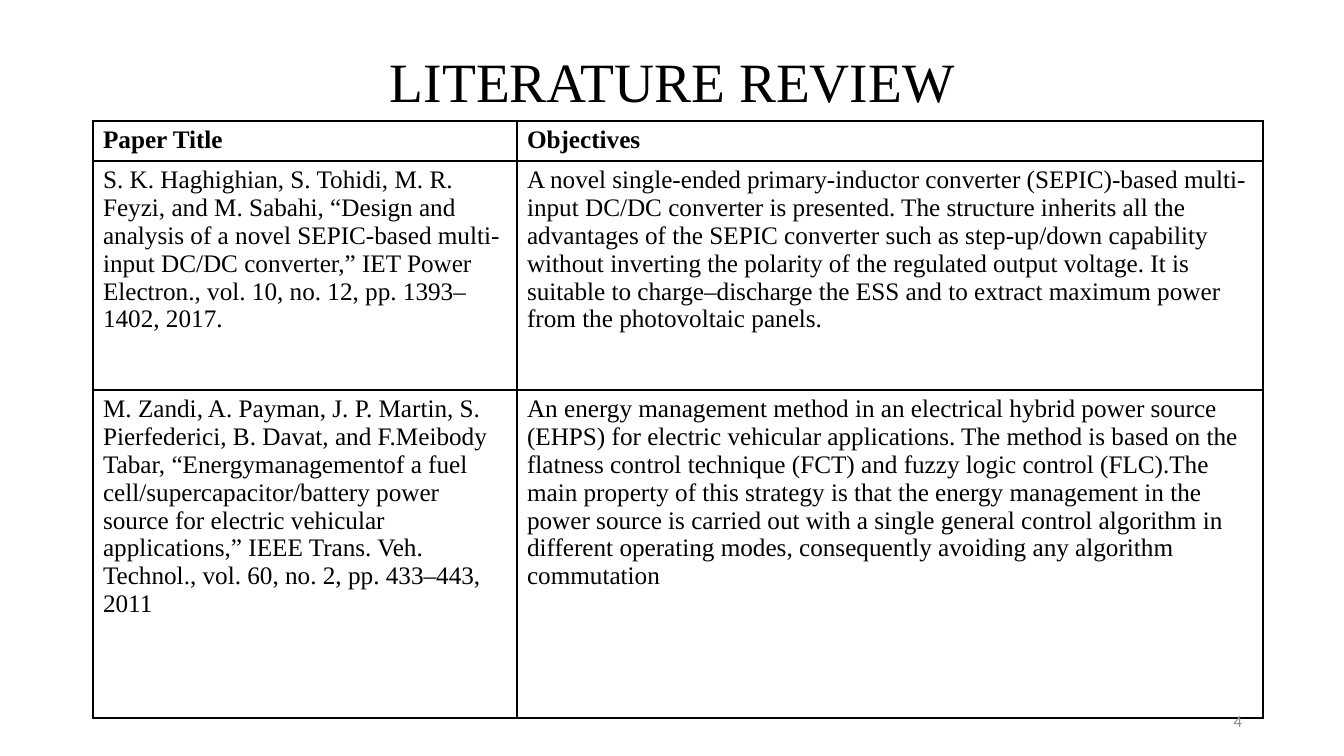
"""Build the literature review slide with its table of papers."""
from lxml import etree
from pptx import Presentation
from pptx.dml.color import RGBColor
from pptx.enum.text import MSO_ANCHOR, MSO_AUTO_SIZE, PP_ALIGN
from pptx.oxml.ns import qn
from pptx.util import Pt

PX = 914400 / 100.8
TOP, MIDDLE = MSO_ANCHOR.TOP, MSO_ANCHOR.MIDDLE
CENTER, RIGHT, LEFT = PP_ALIGN.CENTER, PP_ALIGN.RIGHT, PP_ALIGN.LEFT
NO_AUTOFIT = MSO_AUTO_SIZE.NONE
TITLE_ONLY = 5
SERIF, SANS = "Times New Roman", "Calibri"
COLORS = {"ink": "000000", "paper": "FFFFFF", "muted": "8C8C8C"}
BORDER_WIDTH = Pt(1)

COLUMN_WIDTHS = [424, 746]
ROW_HEIGHTS = [40, 229, 328]
REVIEW = [
    ["Paper Title", "Objectives"],
    [
        "S. K. Haghighian, S. Tohidi, M. R. Feyzi, and M. Sabahi, “Design and "
        "analysis of a novel SEPIC-based multi-input DC/DC converter,” IET Power "
        "Electron., vol. 10, no. 12, pp. 1393–1402, 2017.",
        "A novel single-ended primary-inductor converter (SEPIC)-based multi-input "
        "DC/DC converter is presented. The structure inherits all the advantages of "
        "the SEPIC converter such as step-up/down capability without inverting the "
        "polarity of the regulated output voltage. It is suitable to "
        "charge–discharge the ESS and to extract maximum power from the "
        "photovoltaic panels.",
    ],
    [
        "M. Zandi, A. Payman, J. P. Martin, S. Pierfederici, B. Davat, and F.Meibody "
        "Tabar, “Energymanagementof a fuel cell/supercapacitor/battery power source "
        "for electric vehicular applications,” IEEE Trans. Veh. Technol., vol. 60, "
        "no. 2, pp. 433–443, 2011",
        "An energy management method in an electrical hybrid power source (EHPS) for "
        "electric vehicular applications. The method is based on the flatness control "
        "technique (FCT) and fuzzy logic control (FLC).The main property of this "
        "strategy is that the energy management in the power source is carried out "
        "with a single general control algorithm in different operating modes, "
        "consequently avoiding any algorithm commutation",
    ],
]


def px(*lengths):
    return [round(length * PX) for length in lengths]


def write(text_frame, text, size, font_name, color, align, bold=False):
    text_frame.word_wrap = True
    paragraph = text_frame.paragraphs[0]
    paragraph.text = text
    paragraph.alignment = align
    font = paragraph.font
    font.size, font.name, font.bold = Pt(size), font_name, bold
    font.color.rgb = RGBColor.from_string(COLORS[color])
    return paragraph


def add_title(slide, text):
    title = slide.shapes.title
    title.left, title.top, title.width, title.height = px(93, 40, 1159, 146)
    text_frame = title.text_frame
    text_frame.auto_size = NO_AUTOFIT
    text_frame.vertical_anchor = TOP
    text_frame.margin_top = px(15)[0]
    write(text_frame, text, 39.6, SERIF, "ink", CENTER).line_spacing = 0.9


def add_borders(cell):
    properties = cell._tc.get_or_add_tcPr()
    for side in ("lnL", "lnR", "lnT", "lnB"):
        line = etree.SubElement(properties, qn(f"a:{side}"), w=str(BORDER_WIDTH))
        fill = etree.SubElement(line, qn("a:solidFill"))
        etree.SubElement(fill, qn("a:srgbClr"), val=COLORS["ink"])


def add_review_table(slide, rows):
    bounds = px(93, 121, sum(COLUMN_WIDTHS), sum(ROW_HEIGHTS))
    table = slide.shapes.add_table(len(rows), len(COLUMN_WIDTHS), *bounds).table
    table.horz_banding = False
    for column, width in zip(table.columns, px(*COLUMN_WIDTHS)):
        column.width = width
    for row, height in zip(table.rows, px(*ROW_HEIGHTS)):
        row.height = height
    for row_index, texts in enumerate(rows):
        for column_index, text in enumerate(texts):
            cell = table.cell(row_index, column_index)
            add_borders(cell)
            cell.fill.solid()
            cell.fill.fore_color.rgb = RGBColor.from_string(COLORS["paper"])
            write(cell.text_frame, text, 18, SERIF, "ink", LEFT, bold=row_index == 0)


def add_page_number(slide, number):
    text_frame = slide.shapes.add_textbox(*px(950, 701, 302, 40)).text_frame
    text_frame.vertical_anchor = MIDDLE
    write(text_frame, number, 12, SANS, "muted", RIGHT)


def main():
    presentation = Presentation()
    presentation.slide_width, presentation.slide_height = px(1344, 756)
    slide = presentation.slides.add_slide(presentation.slide_layouts[TITLE_ONLY])
    add_title(slide, "LITERATURE REVIEW")
    add_review_table(slide, REVIEW)
    add_page_number(slide, "4")
    presentation.save("out.pptx")


if __name__ == "__main__":
    main()
